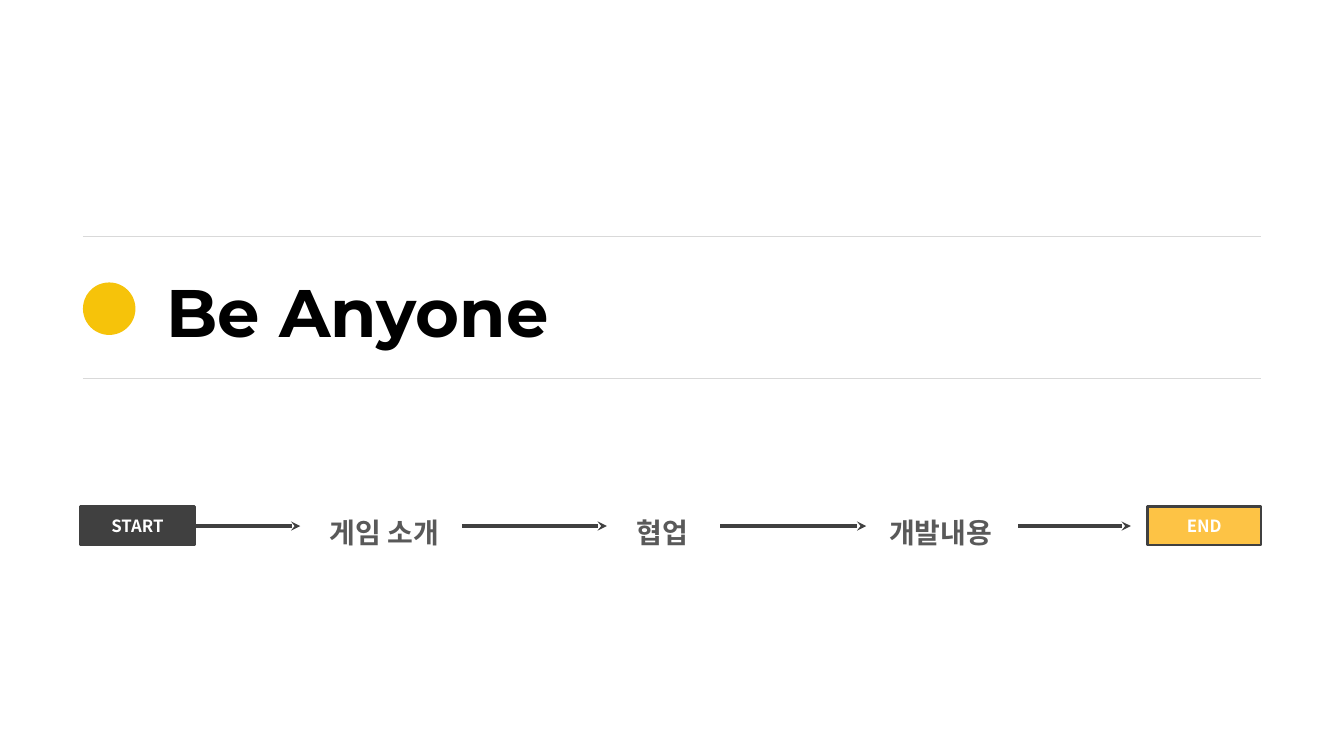
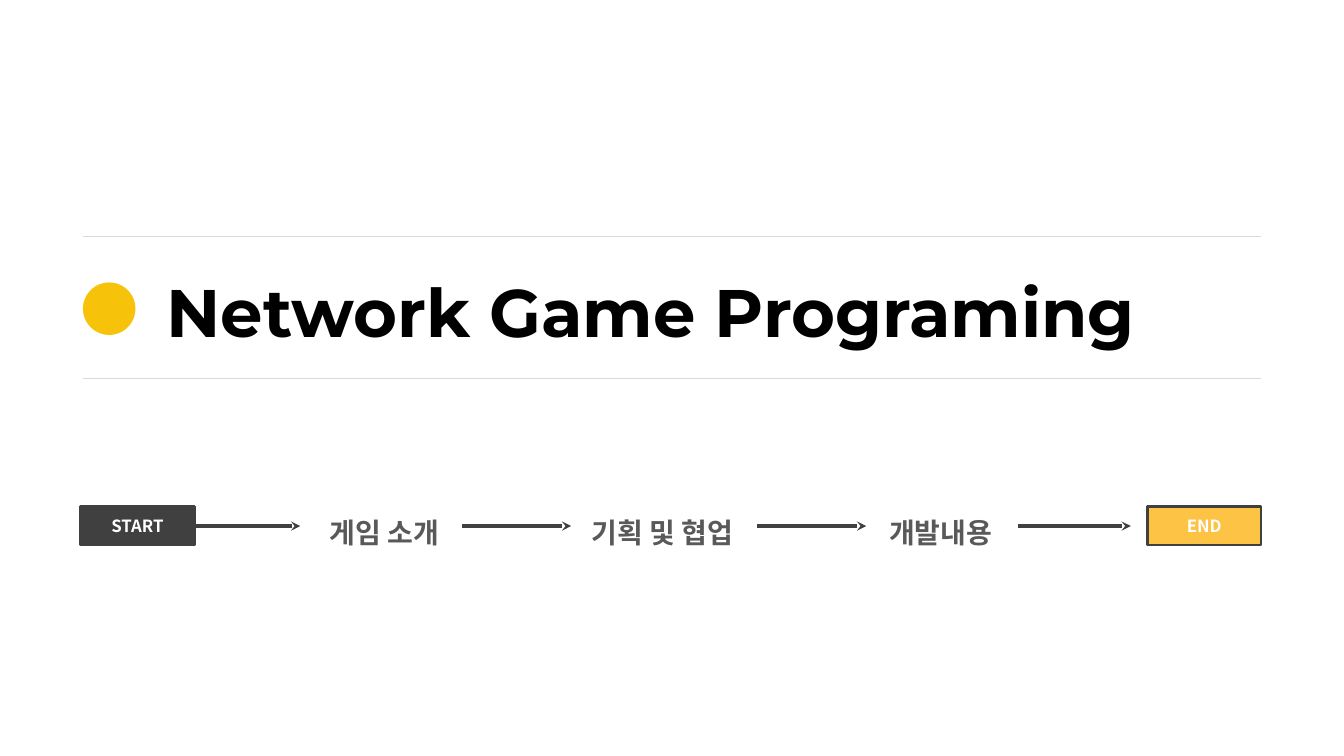
from dataclasses import dataclass

import lxml.etree
import pptx
import pptx.dml.color
import pptx.enum.shapes
import pptx.enum.text
import pptx.oxml.ns
import pptx.util

PX = 9525  # EMU in one px, 96 px to the inch
COLORS = {
    "title": "000000",
    "rule": "D9D9D9",
    "dot": "F6C30A",
    "stage": "595959",
    "dark": "404040",
    "end": "FDC345",
    "white": "FFFFFF",
}
TITLE_FONT = "Montserrat"
BODY_FONT = "Noto Sans CJK KR"

LEFT, RIGHT = 79, 1201
RULE_TOPS = (225, 360)
STAGE_LEFT, STAGE_PITCH, STAGE_WIDTH = 261, 265, 210
ARROW_Y = 501

Shapes = pptx.enum.shapes.MSO_SHAPE
Align = pptx.enum.text.PP_ALIGN


@dataclass(frozen=True)
class Section:
    title: str
    title_width: int
    stages: tuple[str, ...]
    arrows: tuple[tuple[int, int], ...]


@dataclass(frozen=True)
class Terminal:
    label: str
    left: int
    fill: str


@dataclass(frozen=True)
class TextStyle:
    font: str
    size: int
    color: str
    align: Align
    line_spacing: float = 1.0


TITLE = TextStyle(TITLE_FONT, 48, "title", Align.LEFT)
STAGE = TextStyle(BODY_FONT, 20, "stage", Align.CENTER, 1.5)
TERMINAL = TextStyle(BODY_FONT, 12, "white", Align.CENTER)

TERMINALS = (Terminal("END", 1093, "end"), Terminal("START", 77, "dark"))
SECTIONS = (
    Section("Be Anyone", 396, ("게임 소개", "협업", "개발내용"),
            ((184, 286), (440, 578), (686, 825), (970, 1077))),
    Section("Network Game Programing", 978, ("게임 소개", "기획 및 협업", "개발내용"),
            ((184, 286), (440, 544), (721, 825), (970, 1077))),
)


def px(*lengths: int) -> list[pptx.util.Emu]:
    return [pptx.util.Emu(length * PX) for length in lengths]


def rgb(name: str) -> pptx.dml.color.RGBColor:
    return pptx.dml.color.RGBColor.from_string(COLORS[name])


def write(frame, text: str, style: TextStyle) -> None:
    para = frame.paragraphs[0]
    para.text = text
    para.alignment = style.align
    para.line_spacing = style.line_spacing
    font = para.font
    font.name, font.size, font.bold = style.font, pptx.util.Pt(style.size), True
    font.color.rgb = rgb(style.color)
    # Korean glyphs take the East Asian typeface
    latin = para._p.find(".//" + pptx.oxml.ns.qn("a:latin"))
    east_asian = lxml.etree.Element(pptx.oxml.ns.qn("a:ea"), typeface=style.font)
    latin.addnext(east_asian)


def add_text(page, box: tuple[int, int, int, int], text: str,
             style: TextStyle, wrap: bool) -> None:
    frame = page.shapes.add_textbox(*px(*box)).text_frame
    frame.word_wrap = wrap
    write(frame, text, style)


def add_shape(page, kind: Shapes, box: tuple[int, int, int, int], fill: str):
    shape = page.shapes.add_shape(kind, *px(*box))
    shape.shadow.inherit = False
    shape.fill.solid()
    shape.fill.fore_color.rgb = rgb(fill)
    shape.line.fill.background()
    return shape


def add_line(page, left: int, right: int, y: int, color: str,
             width: float, arrow: bool = False) -> None:
    line = page.shapes.add_connector(
        pptx.enum.shapes.MSO_CONNECTOR.STRAIGHT, *px(left, y, right, y))
    line.line.color.rgb = rgb(color)
    line.line.width = pptx.util.Pt(width)
    if arrow:
        lxml.etree.SubElement(line.line._get_or_add_ln(),
                              pptx.oxml.ns.qn("a:tailEnd"), type="stealth")
    lxml.etree.SubElement(line._element.spPr, pptx.oxml.ns.qn("a:effectLst"))


def add_terminal(page, terminal: Terminal) -> None:
    box = add_shape(page, Shapes.RECTANGLE, (terminal.left, 482, 108, 37), terminal.fill)
    box.line.color.rgb = rgb("dark")
    box.line.width = pptx.util.Pt(2)
    box.text_frame.vertical_anchor = pptx.enum.text.MSO_ANCHOR.MIDDLE
    write(box.text_frame, terminal.label, TERMINAL)


def add_title_band(page, section: Section) -> None:
    add_text(page, (149, 253, section.title_width, 87), section.title, TITLE, wrap=False)
    for top in RULE_TOPS:
        add_line(page, LEFT, RIGHT, top, "rule", 0.5)
    add_shape(page, Shapes.OVAL, (LEFT, 269, 50, 50), "dot")


def add_roadmap(page, section: Section) -> None:
    for index, stage in enumerate(section.stages):
        left = STAGE_LEFT + index * STAGE_PITCH
        add_text(page, (left, 470, STAGE_WIDTH, 52), stage, STAGE, wrap=True)
    for terminal in TERMINALS:
        add_terminal(page, terminal)
    for left, right in section.arrows:
        add_line(page, left, right, ARROW_Y, "dark", 2.25, arrow=True)


def main() -> None:
    deck = pptx.Presentation()
    deck.slide_width, deck.slide_height = px(1280, 720)
    for section in SECTIONS:
        page = deck.slides.add_slide(deck.slide_layouts[6])
        add_title_band(page, section)
        add_roadmap(page, section)
    deck.save("out.pptx")


if __name__ == "__main__":
    main()
